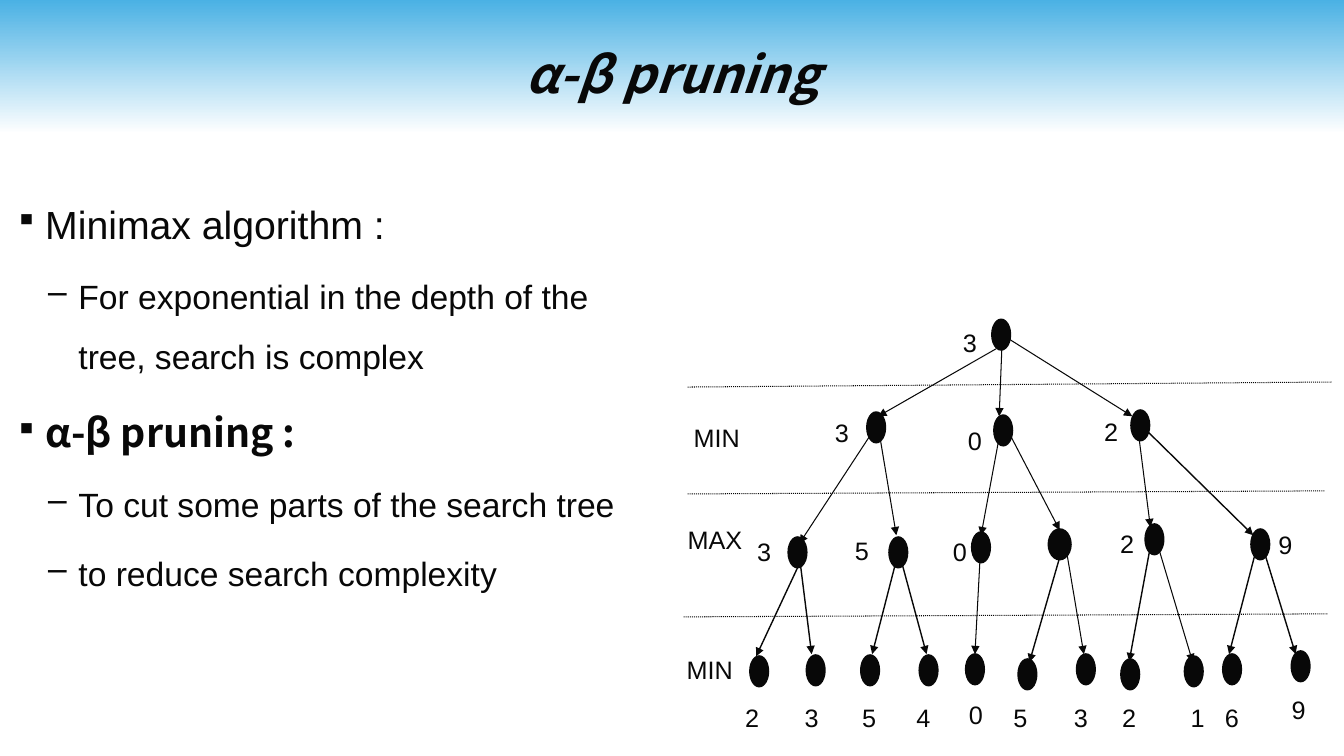
from lxml import etree
from pptx import Presentation
from pptx import util as u
from pptx.dml.color import RGBColor
from pptx.enum import dml, shapes, text
from pptx.oxml.ns import qn

PX = 9144
INK = RGBColor(0x08, 0x08, 0x08)
SKY = RGBColor(0x4A, 0xB1, 0xE4)
WHITE = RGBColor(0xFF, 0xFF, 0xFF)
BODY_FONT = "Arial"
HEAD_FONT = "Noto Sans CJK SC"
THIN, THICK = 0.75, 1
NODE_W, WIDE_NODE_W, NODE_H = 20, 24, 32

BULLETS = [
    (0, "Minimax algorithm :", False),
    (1, "For exponential in the depth of the tree, search is complex", False),
    (0, "α-β pruning :", True),
    (1, "To cut some parts of the search tree", False),
    (1, "to reduce search complexity", False),
]
# level: size, bullet sign, bullet size in percent, text indent
LEVELS = [(28, "▪", 80, 30), (24, "–", 100, 63)]

DIVIDERS = [(12, 74, 651, 69), (12, 180, 644, 177), (8, 302, 647, 299)]
PLAYERS = [("MIN", 16, 108), ("MAX", 10, 209), ("MIN", 9, 338)]

# node left and top, value with its left and top, edge from the parent, edge weight
NODES = [
    ((313, 6), ("3", 283, 14), None, THIN),
    ((189, 98), ("3", 156, 103), (318, 36, 201, 103), THIN),
    ((315, 101), ("0", 288, 111), (324, 27, 321, 103), THIN),
    ((451, 96), ("2", 423, 102), (327, 24, 453, 103), THIN),
    ((111, 222), ("3", 79, 221), (197, 116, 123, 229), THIN),
    ((211, 222), ("5", 176, 220), (202, 119, 219, 221), THIN),
    ((293, 217), ("0", 273, 221), (321, 124, 303, 221), THIN),
    ((369, 214), None, (329, 116, 381, 216), THIN),
    ((465, 209), ("2", 439, 213), (458, 111, 471, 213), THIN),
    ((570, 214), ("9", 596, 214), (461, 111, 573, 221), THICK),
    ((73, 340), ("2", 67, 386), (123, 249, 80, 341), THICK),
    ((129, 339), ("3", 126, 386), (123, 243, 135, 339), THICK),
    ((183, 339), ("5", 183, 386), (221, 238, 195, 339), THICK),
    ((241, 339), ("4", 237, 386), (223, 243, 249, 339), THICK),
    ((287, 338), ("0", 289, 383), (302, 245, 297, 339), THIN),
    ((339, 343), ("5", 333, 386), (381, 243, 351, 347), THICK),
    ((397, 338), ("3", 393, 386), (388, 238, 405, 339), THIN),
    ((441, 343), ("2", 441, 386), (471, 232, 450, 346), THICK),
    ((504, 340), ("1", 509, 386), (478, 230, 513, 347), THIN),
    ((542, 338), ("6", 543, 386), (576, 235, 549, 339), THICK),
    ((610, 335), ("9", 609, 378), (581, 228, 615, 339), THICK),
]


def px(*lengths):
    return [u.Emu(length * PX) for length in lengths]


def add_header(slide, box, title_box):
    band = slide.shapes.add_shape(shapes.MSO_SHAPE.RECTANGLE, *px(*box))
    band.shadow.inherit = False
    band.line.fill.background()
    band.fill.gradient()
    band.fill.gradient_angle = 270
    for stop, color, position in zip(band.fill.gradient_stops, (SKY, WHITE), (0, 1)):
        stop.color.rgb = color
        stop.position = position

    title = slide.shapes.title
    title.element.addprevious(band.element)
    title.left, title.top, title.width, title.height = px(*title_box)
    title.text_frame.text = "α-β pruning"
    title.text_frame.vertical_anchor = text.MSO_ANCHOR.MIDDLE
    heading = title.text_frame.paragraphs[0]
    heading.alignment = text.PP_ALIGN.CENTER
    font = heading.font
    font.name, font.size, font.color.rgb = HEAD_FONT, u.Pt(36), INK
    font.bold = font.italic = True


def add_bullets(slide, box):
    frame = slide.shapes.add_textbox(*px(*box)).text_frame
    frame.word_wrap = True
    for number, (level, wording, strong) in enumerate(BULLETS):
        size, sign, sign_size, indent = LEVELS[level]
        point = frame.add_paragraph() if number else frame.paragraphs[0]
        point.text = wording
        point.level = level
        point.line_spacing = 1.5
        point.space_before = u.Pt(6)
        point.font.name = HEAD_FONT if strong else BODY_FONT
        point.font.size, point.font.bold = u.Pt(size), strong
        point.font.color.rgb = INK
        props = point._p.get_or_add_pPr()
        props.set("marL", str(indent * PX))
        props.set("indent", str(-30 * PX))
        bullet_size = etree.Element(qn("a:buSzPct"), val=str(sign_size * 1000))
        bullet = etree.Element(qn("a:buChar"), char=sign)
        props.find(qn("a:spcBef")).addnext(bullet_size)
        bullet_size.addnext(bullet)


def add_line(tree, origin, ends, weight):
    left, top = origin
    x1, y1, x2, y2 = ends
    line = tree.shapes.add_connector(
        shapes.MSO_CONNECTOR.STRAIGHT, *px(left + x1, top + y1, left + x2, top + y2))
    line.line.color.rgb = INK
    line.line.width = u.Pt(weight)
    etree.SubElement(line.element.spPr, qn("a:effectLst"))
    return line


def add_label(tree, origin, label, width):
    wording, x, y = label
    frame = tree.shapes.add_textbox(*px(origin[0] + x, origin[1] + y, width, 33)).text_frame
    frame.word_wrap = True
    frame.margin_left, frame.margin_right, frame.margin_top, frame.margin_bottom = px(2, 2, 1, 1)
    frame.text = wording
    font = frame.paragraphs[0].font
    font.name, font.size, font.color.rgb = BODY_FONT, u.Pt(18), INK


def add_node(tree, origin, place):
    width = NODE_W if place != (369, 214) else WIDE_NODE_W
    node = tree.shapes.add_shape(
        shapes.MSO_SHAPE.OVAL, *px(origin[0] + place[0], origin[1] + place[1], width, NODE_H))
    node.shadow.inherit = False
    node.fill.solid()
    node.fill.fore_color.rgb = INK
    node.line.fill.background()


def add_search_tree(slide, origin):
    tree = slide.shapes.add_group_shape()
    for ends in DIVIDERS:
        divider = add_line(tree, origin, ends, THIN)
        divider.line.dash_style = dml.MSO_LINE.ROUND_DOT
    for player in PLAYERS:
        add_label(tree, origin, player, 71)
    for place, value, edge, weight in NODES:
        if edge:
            arrow = add_line(tree, origin, edge, weight)
            etree.SubElement(arrow.line._get_or_add_ln(), qn("a:tailEnd"), type="triangle")
        add_node(tree, origin, place)
        if value:
            add_label(tree, origin, value, 26)


def main():
    deck = Presentation()
    deck.slide_width, deck.slide_height = px(1333, 750)
    slide = deck.slides.add_slide(deck.slide_layouts.get_by_name("Title Only"))
    add_header(slide, (0, 0, 1333, 133), (67, 25, 1200, 95))
    add_bullets(slide, (5, 170, 622, 580))
    add_search_tree(slide, (670, 310))
    deck.save("out.pptx")


if __name__ == "__main__":
    main()
